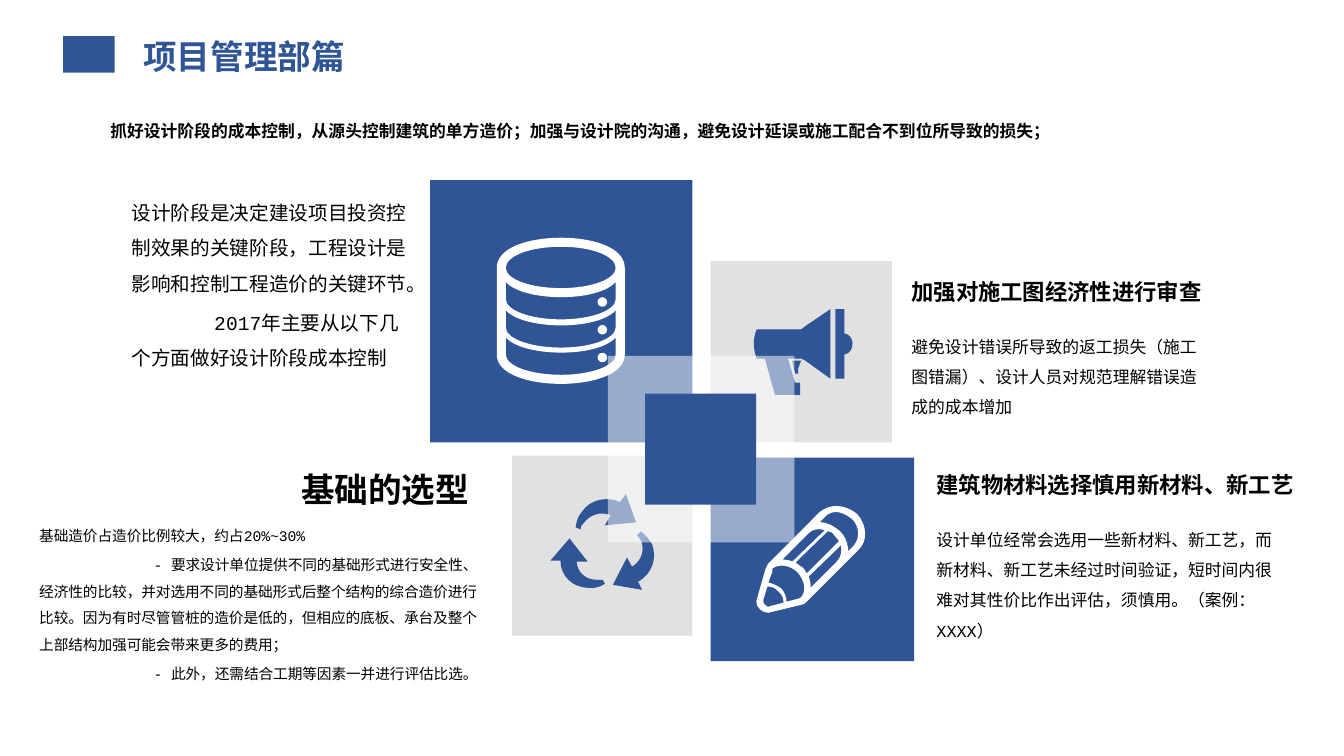
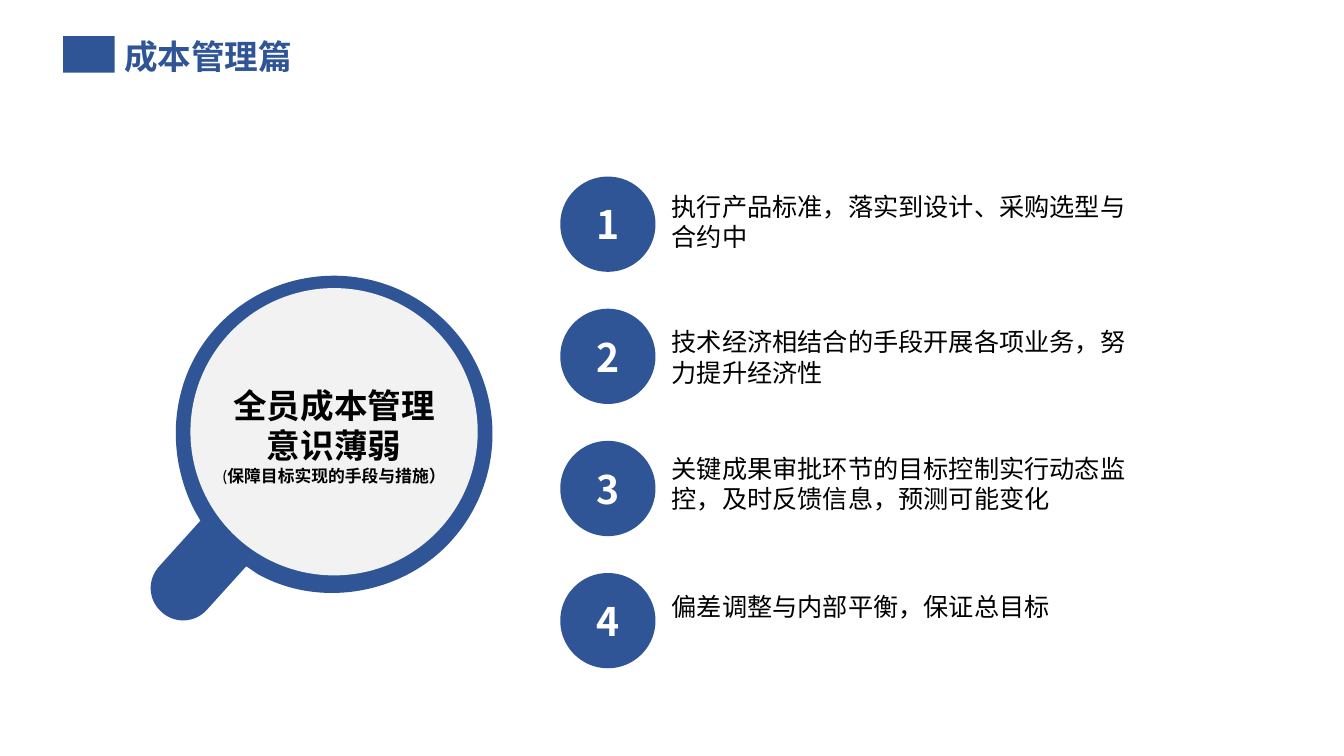
from lxml.etree import SubElement
from pptx import Presentation
from pptx.dml.color import RGBColor
from pptx.enum.shapes import MSO_SHAPE
from pptx.enum.text import MSO_ANCHOR, PP_ALIGN
from pptx.oxml.ns import qn
from pptx.util import Cm, Pt

COLORS = {
    "blue": "2F5597",
    "gray": "E1E1E1",
    "lens": "F2F2F2",
    "white": "FFFFFF",
    "black": "000000",
}
SANS = "Noto Sans CJK SC"
MONO = "Courier New"
LATIN = "Calibri"
INSETS = (0.25, 0.13, 0.25, 0.13)
ICON_UNIT = Cm(2.54) // 100

# fmt: off
MEGAPHONE = [
    [(4, 20), (48, 20), (52, 17), (77, 0), (77, 69), (52, 51), (48, 49), (35, 49), (42, 73),
     (47, 73), (47, 85), (22, 85), (12, 49), (4, 49), (0, 39, 0, 29, 4, 20)],
    [(91, 24), (96, 25, 99, 29, 99, 34), (99, 40, 96, 44, 91, 45), (91, 69), (82, 69),
     (82, 0), (91, 0)],
    [(48, 51), (39, 51), (42, 64), (45, 64), (45, 59)],
]
PENCIL = [
    [(100, 8), (94, 3, 86, 0, 79, 0), (74, 0, 68, 2, 63, 6), (12, 57),
     (11, 59, 10, 60, 9, 63), (1, 91), (0, 95), (0, 101, 6, 106, 12, 106), (16, 105),
     (45, 98), (47, 98, 48, 97, 50, 95), (101, 44), (111, 35, 110, 19, 100, 8)],
    [(54, 79), (54, 76, 53, 73, 52, 70), (84, 39), (85, 45, 84, 51, 80, 55), (54, 81)],
    [(50, 67), (49, 65, 48, 63, 46, 61), (43, 60, 42, 58, 39, 56), (71, 25),
     (74, 25, 76, 27, 78, 30), (79, 31, 81, 33, 82, 35)],
    [(36, 55), (32, 54, 29, 53, 26, 53), (52, 27), (56, 23, 62, 22, 68, 24)],
    [(15, 99), (14, 100, 13, 100, 12, 100), (10, 100, 7, 97, 7, 95), (7, 93), (11, 80),
     (15, 80, 19, 81, 22, 85), (26, 88, 27, 92, 27, 96)],
    [(30, 95), (30, 90, 28, 86, 25, 82), (21, 79, 16, 77, 12, 76), (16, 65), (16, 62),
     (23, 57, 34, 59, 41, 66), (48, 74, 50, 85, 44, 91), (42, 92)],
    [(97, 39), (91, 45), (91, 42), (90, 35, 88, 30, 83, 25), (77, 20, 70, 16, 63, 16),
     (69, 10), (71, 8, 75, 6, 79, 6), (84, 6, 90, 9, 95, 13), (99, 17, 101, 22, 101, 27),
     (101, 31, 100, 35, 97, 39)],
]
RECYCLE = [
    [(91, 95), (62, 90), (76, 63), (81, 72), (90, 67, 94, 56, 90, 46),
     (88, 44, 88, 42, 86, 41), (90, 37), (94, 41, 98, 44, 101, 50),
     (106, 64, 101, 79, 87, 87)],
    [(0, 66), (19, 44), (37, 67), (26, 67), (27, 78, 35, 85, 46, 85), (52, 85), (54, 89),
     (50, 92, 43, 94, 38, 93), (22, 93, 10, 81, 10, 66)],
    [(75, 0), (69, 8), (57, 2, 39, 5, 31, 18), (27, 22, 26, 28, 25, 33), (30, 35),
     (30, 32, 31, 30, 33, 29), (39, 20, 51, 17, 60, 21), (54, 31), (85, 28)],
]
MAGNIFIER = [
    [(158, 0), (245, 0, 315, 71, 315, 158), (315, 229, 264, 295, 195, 311), (181, 313),
     (181, 371), (181, 389, 167, 403, 149, 403), (131, 403, 117, 389, 117, 371),
     (117, 310), (105, 306), (45, 283, 0, 226, 0, 158), (0, 71, 71, 0, 158, 0)],
]
DATABASE_OUTLINE = [
    [(64, 0), (33, 0, 0, 9, 0, 30), (0, 116), (0, 136, 33, 145, 64, 145),
     (94, 145, 127, 136, 127, 116), (127, 30), (127, 9, 94, 0, 64, 0)],
    [(64, 50), (33, 50, 9, 41, 9, 30), (9, 18, 33, 9, 64, 9), (94, 9, 118, 18, 118, 30),
     (118, 41, 94, 50, 64, 50)],
]
# fmt: on


def database_band(bottom):
    return [
        (118, bottom),
        (118, bottom + 11, 94, bottom + 20, 64, bottom + 20),
        (33, bottom + 20, 9, bottom + 11, 9, bottom),
        (9, bottom - 17),
        (18, bottom - 7, 41, bottom - 2, 64, bottom - 2),
        (87, bottom - 2, 109, bottom - 7, 118, bottom - 17),
    ]


def paint(shape, color):
    shape.shadow.inherit = False
    shape.fill.solid()
    shape.fill.fore_color.rgb = RGBColor.from_string(COLORS[color])
    shape.line.fill.background()
    return shape


def bend(segment, node, offset_x, offset_y):
    segment.tag = qn("a:cubicBezTo")
    for point in list(segment):
        segment.remove(point)
    for x, y in zip(node[::2], node[1::2]):
        point = SubElement(segment, qn("a:pt"))
        point.set("x", str(x * ICON_UNIT + offset_x))
        point.set("y", str(y * ICON_UNIT + offset_y))


def add_icon(slide, left, top, contours, color):
    left, top = Cm(left), Cm(top)
    builder = None
    for contour in contours:
        points = [(left + node[-2] * ICON_UNIT, top + node[-1] * ICON_UNIT) for node in contour]
        if builder is None:
            builder = slide.shapes.build_freeform(*points[0])
        else:
            builder.move_to(*points[0])
        builder.add_line_segments(points[1:], close=False)
        builder.add_line_segments([], close=True)
    shape = paint(builder.convert_to_shape(), color)
    nodes = [node for contour in contours for node in contour[1:]]
    segments = list(shape._element.iter(qn("a:lnTo")))
    for segment, node in zip(segments, nodes):
        if len(node) == 6:
            bend(segment, node, left - shape.left, top - shape.top)
    return shape


def add_block(slide, left, top, width, height, color, kind=MSO_SHAPE.RECTANGLE):
    shape = slide.shapes.add_shape(kind, Cm(left), Cm(top), Cm(width), Cm(height))
    return paint(shape, color)


def set_opacity(shape, percent):
    color = shape.fill._xPr.find(qn("a:solidFill"))[0]
    SubElement(color, qn("a:alpha")).set("val", str(percent * 1000))


def set_insets(text_frame, insets):
    left, top, right, bottom = (Cm(inset) for inset in insets)
    text_frame.margin_left, text_frame.margin_top = left, top
    text_frame.margin_right, text_frame.margin_bottom = right, bottom


def format_run(run, size, font=SANS, color="black", bold=False):
    run.font.size = Pt(size)
    run.font.name = font
    run.font.bold = bold
    run.font.color.rgb = RGBColor.from_string(COLORS[color])
    SubElement(run.font._element, qn("a:ea")).set("typeface", SANS)


def add_text(slide, box, lines, size, font=SANS, color="black", bold=False,
             align=PP_ALIGN.LEFT, spacing=None, indents=(), insets=INSETS, wrap=True):
    text_frame = slide.shapes.add_textbox(*(Cm(length) for length in box)).text_frame
    text_frame.word_wrap = wrap
    set_insets(text_frame, insets)
    text_frame.text = "\n".join(lines)
    for index, paragraph in enumerate(text_frame.paragraphs):
        paragraph.alignment = align
        paragraph.line_spacing = spacing
        if index:
            paragraph.space_before = Pt(size * 0.2)
        if index < len(indents):
            paragraph._p.get_or_add_pPr().set("indent", str(Cm(indents[index])))
        for run in paragraph.runs:
            format_run(run, size, font, color, bold)
    return text_frame


def add_title(slide, left, width, title):
    add_text(slide, (left, 0.77, width, 1.27), [title], 24, color="blue", bold=True,
             align=PP_ALIGN.JUSTIFY, wrap=False)
    add_block(slide, 1.59, 0.91, 1.3, 0.92, "blue")


def add_database(slide):
    bands = [database_band(bottom) for bottom in (116, 89, 61)]
    add_icon(slide, 12.52, 5.99, DATABASE_OUTLINE + bands, "white")
    for row in range(3):
        add_block(slide, 15.06, 7.49 + row * 0.7, 0.24, 0.24, "white", MSO_SHAPE.OVAL)


def add_number(slide, top, number):
    shape = add_block(slide, 14.12, top, 2.4, 2.4, "blue", MSO_SHAPE.OVAL)
    text_frame = shape.text_frame
    set_insets(text_frame, (0, 0, 0, 0))
    text_frame.vertical_anchor = MSO_ANCHOR.MIDDLE
    text_frame.text = str(number)
    paragraph = text_frame.paragraphs[0]
    paragraph.alignment = PP_ALIGN.CENTER
    format_run(paragraph.runs[0], 28, color="white", bold=True)


def build_project_slide(slide):
    add_title(slide, 3.36, 5.64, "项目管理部篇")
    summary = add_text(
        slide, (1.53, 2.67, 26.21, 1.02),
        ["抓好设计阶段的成本控制，从源头控制建筑的单方造价；加强与设计院的沟通，避免设计延误或施工配合不到位所导致的损失；"],
        12, bold=True, align=PP_ALIGN.CENTER, spacing=0.9)
    summary.vertical_anchor = MSO_ANCHOR.BOTTOM

    for left, top, side, color in (
        (17.91, 6.58, 4.57, "gray"),
        (17.91, 11.53, 5.13, "blue"),
        (10.84, 4.54, 6.61, "blue"),
        (12.91, 11.48, 4.54, "gray"),
    ):
        add_block(slide, left, top, side, side, color)
    add_icon(slide, 18.97, 7.79, MEGAPHONE, "blue")
    add_icon(slide, 19.06, 12.75, PENCIL, "white")
    add_database(slide)
    add_icon(slide, 13.87, 12.45, RECYCLE, "blue")
    for _ in range(2):
        set_opacity(add_block(slide, 15.32, 8.97, 4.7, 4.7, "white"), 30)
    add_block(slide, 16.26, 9.92, 2.8, 2.8, "blue")

    for box, heading, size, align in (
        ((5.39, 11.68, 6.68, 1.27), "基础的选型", 24, PP_ALIGN.RIGHT),
        ((23.35, 11.75, 9.8, 0.94), "建筑物材料选择慎用新材料、新工艺", 16, PP_ALIGN.LEFT),
        ((22.72, 6.88, 9.8, 0.94), "加强对施工图经济性进行审查", 16, PP_ALIGN.LEFT),
    ):
        add_text(slide, box, [heading], size, MONO, bold=True, align=align)

    for box, lines, size, indents in (
        ((3.07, 4.64, 7.47, 4.88),
         ["设计阶段是决定建设项目投资控制效果的关键阶段，工程设计是影响和控制工程造价的关键环节。",
          "2017年主要从以下几个方面做好设计阶段成本控制"], 14, (0, 2.08)),
        ((0.74, 12.92, 11.91, 4.47),
         ["基础造价占造价比例较大，约占20%~30%",
          "- 要求设计单位提供不同的基础形式进行安全性、经济性的比较，并对选用不同的基础形式后整个结构的综合造价进行比较。因为有时尽管管桩的造价是低的，但相应的底板、承台及整个上部结构加强可能会带来更多的费用；",
          "- 此外，还需结合工期等因素一并进行评估比选。"], 10.5, (0, 2.88, 2.88)),
        ((23.35, 12.96, 9.17, 3.33),
         ["设计单位经常会选用一些新材料、新工艺，而新材料、新工艺未经过时间验证，短时间内很难对其性价比作出评估，须慎用。（案例：XXXX）"], 12, ()),
        ((22.72, 8.1, 8.03, 2.57),
         ["避免设计错误所导致的返工损失（施工图错漏）、设计人员对规范理解错误造成的成本增加"], 12, ()),
    ):
        add_text(slide, box, lines, size, MONO, spacing=1.5, indents=indents)


def build_cost_slide(slide):
    add_icon(slide, 3.66, 6.65, MAGNIFIER, "blue").rotation = 42.1
    add_block(slide, 4.8, 7.26, 7.24, 7.24, "lens", MSO_SHAPE.OVAL)
    lens_text = add_text(slide, (5.26, 9.52, 6.32, 2.92), ["全员成本管理意识薄弱"], 24,
                         bold=True, align=PP_ALIGN.CENTER, insets=(0.33, 0.18, 0.33, 0.18))
    note = lens_text.add_paragraph()
    note.alignment = PP_ALIGN.CENTER
    for text, bold in (("(", False), ("保障目标实现的手段与措施）", True)):
        run = note.add_run()
        run.text = text
        format_run(run, 12, LATIN, bold=bold)

    measures = (
        (4.45, "执行产品标准，落实到设计、采购选型与合约中"),
        (7.87, "技术经济相结合的手段开展各项业务，努力提升经济性"),
        (11.06, "关键成果审批环节的目标控制实行动态监控，及时反馈信息，预测可能变化"),
        (14.53, "偏差调整与内部平衡，保证总目标"),
    )
    for index, (top, measure) in enumerate(measures):
        add_number(slide, 4.45 + index * 3.33, index + 1)
        add_text(slide, (16.93, top, 12.22, 2.92), [measure], 18, insets=(0, 0.36, 0.48, 0.25))

    add_block(slide, 0, 0.43, 2.39, 0.91, "white")
    add_title(slide, 2.88, 5.69, "成本管理篇")


def main():
    presentation = Presentation()
    presentation.slide_width, presentation.slide_height = Cm(33.87), Cm(19.05)
    for build in (build_project_slide, build_cost_slide):
        build(presentation.slides.add_slide(presentation.slide_layouts[6]))
    presentation.save("out.pptx")


if __name__ == "__main__":
    main()
